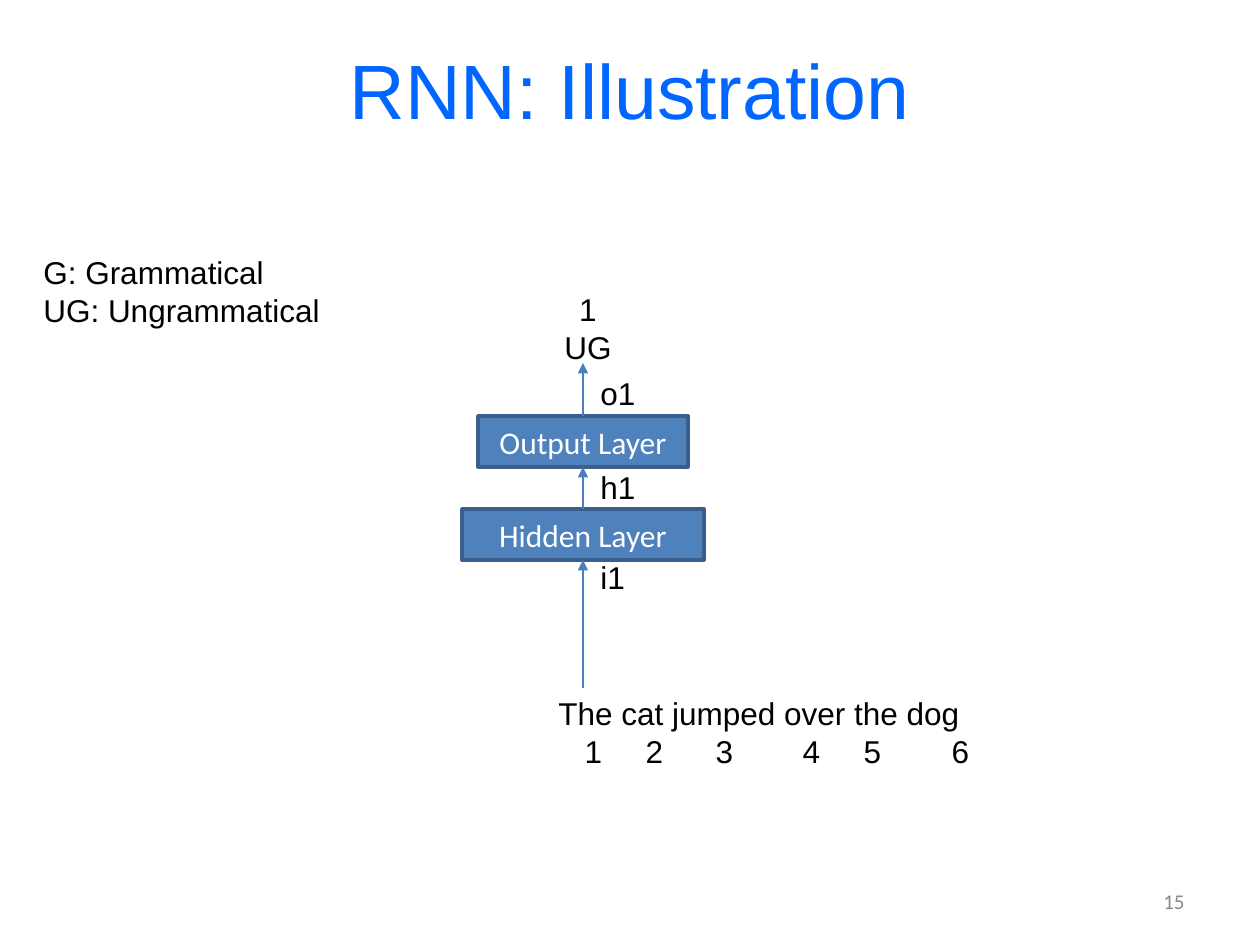
"""Build the slide that illustrates one step of an RNN."""
from lxml.etree import SubElement
from pptx import Presentation
from pptx.dml.color import RGBColor
from pptx.enum.shapes import MSO_CONNECTOR, MSO_SHAPE
from pptx.enum.text import MSO_ANCHOR, PP_ALIGN
from pptx.oxml.ns import qn
from pptx.util import Emu, Pt

THEME = {
    "title": ("Arial", 44, "0066FF"),
    "body": ("Arial", 18, "000000"),
    "layer": ("Calibri", 18, "FFFFFF"),
    "number": ("Calibri", 12, "898989"),
    "fill": "4F81BD",
    "border": "3A5F8C",
    "arrow": "4B7EBC",
}


def px(n):
    return Emu(n * 914400 // 126)


def write(sp, lines, style, align=PP_ALIGN.LEFT, anchor=MSO_ANCHOR.TOP, tabs=()):
    font, size, color = THEME[style]
    tf = sp.text_frame
    tf.word_wrap = True
    tf.vertical_anchor = anchor
    for i, line in enumerate(lines):
        p = tf.paragraphs[0] if i == 0 else tf.add_paragraph()
        p.alignment = align
        if tabs and "\t" in line:
            tab_list = SubElement(p._p.get_or_add_pPr(), qn("a:tabLst"))
            for pos in tabs:
                SubElement(tab_list, qn("a:tab"), pos=str(px(pos)), algn="ctr")
        r = p.add_run()
        r.text = line
        r.font.name = font
        r.font.size = Pt(size)
        r.font.color.rgb = RGBColor.from_string(color)


prs = Presentation()
prs.slide_width, prs.slide_height = px(1260), px(945)
s = prs.slides.add_slide(prs.slide_layouts[6])

CENTER, MIDDLE = PP_ALIGN.CENTER, MSO_ANCHOR.MIDDLE
sp = s.shapes.add_textbox(px(63), px(10), px(1134), px(158))
write(sp, ["RNN: Illustration"], "title", CENTER, MIDDLE)
sp = s.shapes.add_textbox(px(903), px(876), px(294), px(50))
write(sp, ["15"], "number", PP_ALIGN.RIGHT, MIDDLE)

axis = 583
layers = []
for name, top, width in (("Hidden Layer", 509, 242), ("Output Layer", 416, 210)):
    sp = s.shapes.add_shape(MSO_SHAPE.RECTANGLE, px(axis - width // 2), px(top), px(width), px(51))
    sp.shadow.inherit = False
    sp.fill.solid()
    sp.fill.fore_color.rgb = RGBColor.from_string(THEME["fill"])
    sp.line.color.rgb = RGBColor.from_string(THEME["border"])
    sp.line.width = Pt(2)
    write(sp, [name], "layer", CENTER, MIDDLE)
    layers.append(sp)
hidden, output = layers

for y1, y2, start, end in (
    (688, 560, None, hidden),
    (509, 467, hidden, output),
    (416, 363, output, None),
):
    c = s.shapes.add_connector(MSO_CONNECTOR.STRAIGHT, px(axis), px(y1), px(axis), px(y2))
    if start is not None:
        c.begin_connect(start, 0)
    if end is not None:
        c.end_connect(end, 2)
    c.line.color.rgb = RGBColor.from_string(THEME["arrow"])
    c.line.width = Pt(0.75)
    SubElement(c.line._get_or_add_ln(), qn("a:tailEnd"), type="triangle")
    SubElement(c._element.spPr, qn("a:effectLst"))

for text, top in (("o1", 368), ("h1", 462), ("i1", 552)):
    sp = s.shapes.add_textbox(px(588), px(top), px(60), px(50))
    write(sp, [text], "body")

sp = s.shapes.add_textbox(px(551), px(284), px(74), px(89))
write(sp, ["1", "UG"], "body", CENTER)
sp = s.shapes.add_textbox(px(31), px(247), px(314), px(89))
write(sp, ["G: Grammatical", "UG: Ungrammatical"], "body")
sp = s.shapes.add_textbox(px(546), px(688), px(441), px(89))
sentence = "The cat jumped over the dog"
numbers = "".join(f"\t{i}" for i in range(1, len(sentence.split()) + 1))
write(sp, [sentence, numbers], "body", tabs=(35, 96, 166, 253, 314, 402))

prs.save("out.pptx")
